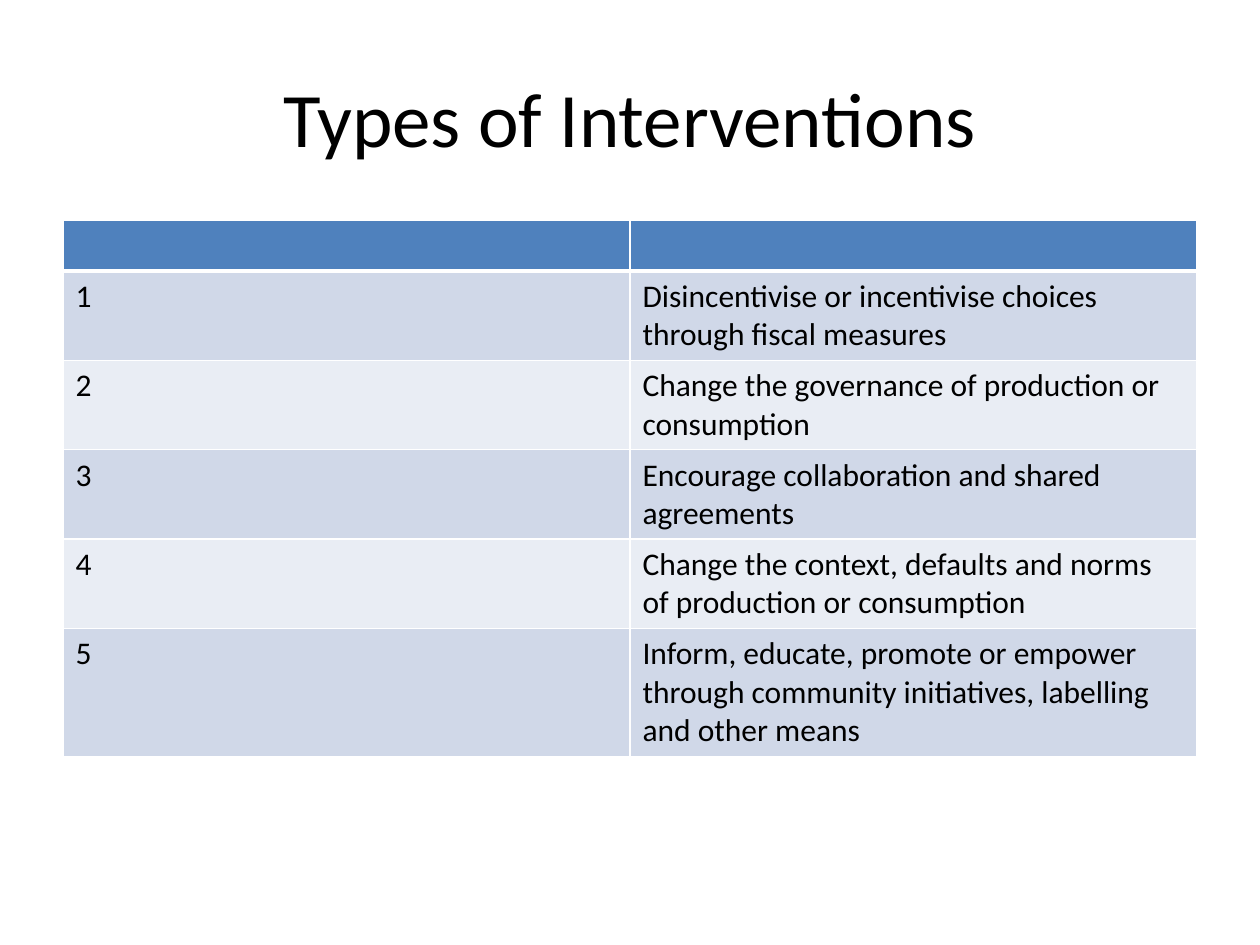
from lxml.etree import SubElement
from pptx import Presentation
from pptx.dml.color import RGBColor
from pptx.enum.text import MSO_ANCHOR, PP_ALIGN
from pptx.oxml.ns import qn
from pptx.util import Pt

FONT = "Calibri"
BLACK, WHITE = "000000", "FFFFFF"
HEADER, BANDS = "4F81BD", ("D0D8E8", "E9EDF4")
HEADER_HEIGHT, TEXT_PADDING, LINE_HEIGHT = 28.8, 7.2, 21.95

INTERVENTIONS = [
    ("Disincentivise or incentivise choices through fiscal measures", 2),
    ("Change the governance of production or consumption", 2),
    ("Encourage collaboration and shared agreements", 2),
    ("Change the context, defaults and norms of production or consumption", 2),
    ("Inform, educate, promote or empower through community initiatives, "
     "labelling and other means", 3),
]


def rgb(value):
    """Turn a hex string into a colour."""
    return RGBColor.from_string(value)


def set_text(tf, text, size, align=PP_ALIGN.LEFT):
    """Write one paragraph in the slide's font."""
    p = tf.paragraphs[0]
    p.text = text
    p.alignment = align
    p.font.name = FONT
    p.font.size = Pt(size)
    p.font.bold = False
    p.font.color.rgb = rgb(BLACK)


def set_borders(cell, widths):
    """Draw white borders; they stand before the fill in the cell properties."""
    tc_pr = cell._tc.get_or_add_tcPr()
    for i, (side, width) in enumerate(widths.items()):
        ln = SubElement(tc_pr, qn(f"a:ln{side}"), w=str(Pt(width)))
        fill = SubElement(ln, qn("a:solidFill"))
        SubElement(fill, qn("a:srgbClr"), val=WHITE)
        tc_pr.insert(i, ln)


def add_title(s, text, left, top, width, height):
    """Add the centred slide title."""
    tf = s.shapes.add_textbox(Pt(left), Pt(top), Pt(width), Pt(height)).text_frame
    tf.word_wrap = True
    tf.vertical_anchor = MSO_ANCHOR.MIDDLE
    set_text(tf, text, 44, PP_ALIGN.CENTER)


def add_interventions(s, items, left, top, width):
    """Add the numbered table with an empty header and banded rows."""
    rows = [("", "")] + [(str(n), text) for n, (text, _) in enumerate(items, 1)]
    heights = [HEADER_HEIGHT] + [TEXT_PADDING + n * LINE_HEIGHT for _, n in items]
    table = s.shapes.add_table(len(rows), 2, Pt(left), Pt(top), Pt(width),
                               Pt(sum(heights))).table
    for column in table.columns:
        column.width = Pt(width / 2)
    for i, (row, height) in enumerate(zip(rows, heights)):
        table.rows[i].height = Pt(height)
        for j, text in enumerate(row):
            cell = table.cell(i, j)
            cell.fill.solid()
            cell.fill.fore_color.rgb = rgb(BANDS[(i - 1) % 2] if i else HEADER)
            set_text(cell.text_frame, text, 18)
            set_borders(cell, {"L": 1, "R": 1, "T": 1, "B": 1 if i else 3})


prs = Presentation()
prs.slide_width, prs.slide_height = Pt(720), Pt(540)
s = prs.slides.add_slide(prs.slide_layouts[6])
add_title(s, "Types of Interventions", 36, 21.6, 648, 90)
add_interventions(s, INTERVENTIONS, 36, 126, 648)
prs.save("out.pptx")
